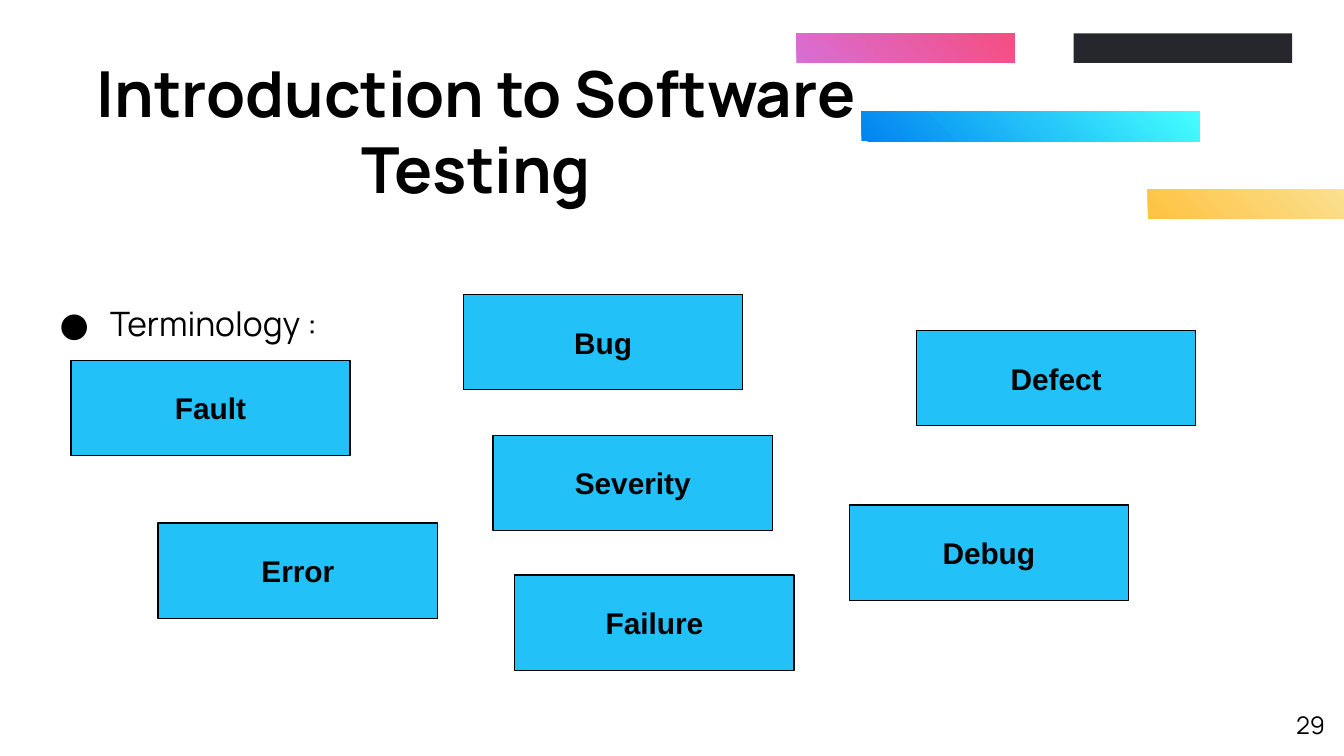
from lxml.etree import SubElement
from pptx import Presentation
from pptx.dml.color import RGBColor
from pptx.enum.shapes import MSO_SHAPE
from pptx.enum.text import MSO_ANCHOR, PP_ALIGN
from pptx.oxml.ns import qn
from pptx.util import Cm, Pt


def rgb(color):
    return RGBColor.from_string(color)


class Deck:
    """Holds the style and the current slide."""

    ink, accent = "000000", "22C1F8"
    font, box_font = "Manrope", "Arial"
    margin = 0.25
    bar_height = 0.56
    box_size = (5.28, 1.8)

    def __init__(self, prs):
        self.s = prs.slides.add_slide(prs.slide_layouts[6])

    def rect(self, *place):
        sp = self.s.shapes.add_shape(MSO_SHAPE.RECTANGLE, *map(Cm, place))
        sp.shadow.inherit = False
        return sp

    def bar(self, left, top, width, *colors):
        sp = self.rect(left, top, width, self.bar_height)
        sp.line.fill.background()
        if len(colors) == 1:
            sp.fill.solid()
            sp.fill.fore_color.rgb = rgb(colors[0])
            return
        sp.fill.gradient()
        sp.fill.gradient_angle = 45
        for stop, color in zip(sp.fill.gradient_stops, colors):
            stop.color.rgb = rgb(color)

    def fill_text(self, sp, text, size, font, align, bold=False, anchor=MSO_ANCHOR.TOP):
        tf = sp.text_frame
        tf.word_wrap = True
        tf.vertical_anchor = anchor
        tf.margin_left = tf.margin_right = Cm(self.margin)
        tf.margin_top = tf.margin_bottom = Cm(self.margin)
        p = tf.paragraphs[0]
        p.alignment = align
        r = p.add_run()
        r.text = text
        r.font.size, r.font.name, r.font.bold = Pt(size), font, bold
        r.font.color.rgb = rgb(self.ink)
        return p

    def text(self, place, text, size, align=PP_ALIGN.LEFT, **style):
        sp = self.s.shapes.add_textbox(*map(Cm, place))
        return self.fill_text(sp, text, size, self.font, align, **style)

    def bullet(self, place, text, size):
        p = self.text(place, text, size)
        p.line_spacing = 2.0
        pPr = p._p.get_or_add_pPr()
        pPr.set("marL", str(Cm(1.27)))
        pPr.set("indent", str(Cm(-0.95)))
        color = SubElement(pPr, qn("a:buClr"))
        SubElement(color, qn("a:srgbClr"), val=self.ink)
        SubElement(pPr, qn("a:buFont"), typeface=self.font)
        SubElement(pPr, qn("a:buChar"), char="●")

    def box(self, text, left, top):
        sp = self.rect(left, top, *self.box_size)
        sp.fill.solid()
        sp.fill.fore_color.rgb = rgb(self.accent)
        sp.line.color.rgb = rgb(self.ink)
        sp.line.width = Pt(0.75)
        self.fill_text(sp, text, 16, self.box_font, PP_ALIGN.CENTER,
                       bold=True, anchor=MSO_ANCHOR.MIDDLE)


BARS = [
    (16.28, 2.11, 6.4, "0083F1", "45FFFF"),
    (20.29, 0.63, 4.13, "25272D"),
    (15.05, 0.63, 4.13, "D86ED5", "F64E81"),
    (21.69, 3.58, 3.71, "FFC241", "FAE08F"),
]
TERMS = [
    ("Error", 2.99, 9.89),
    ("Bug", 8.76, 5.57),
    ("Failure", 9.73, 10.87),
    ("Defect", 17.32, 6.25),
    ("Debug", 16.05, 9.55),
    ("Fault", 1.34, 6.81),
    ("Severity", 9.32, 8.23),
]


def main():
    prs = Presentation()
    prs.slide_width, prs.slide_height = Cm(25.4), Cm(14.29)
    deck = Deck(prs)
    for bar in BARS:
        deck.bar(*bar)
    deck.text((0, 0.64, 18, 3.63), "Introduction to Software Testing", 34,
              PP_ALIGN.CENTER, bold=True, anchor=MSO_ANCHOR.MIDDLE)
    deck.bullet((0.56, 4.72, 24.74, 9.55), "Terminology :", 18)
    deck.text((23.77, 13.18, 1.52, 1.09), "29", 13, PP_ALIGN.RIGHT)
    for term in TERMS:
        deck.box(*term)
    prs.save("out.pptx")


if __name__ == "__main__":
    main()
